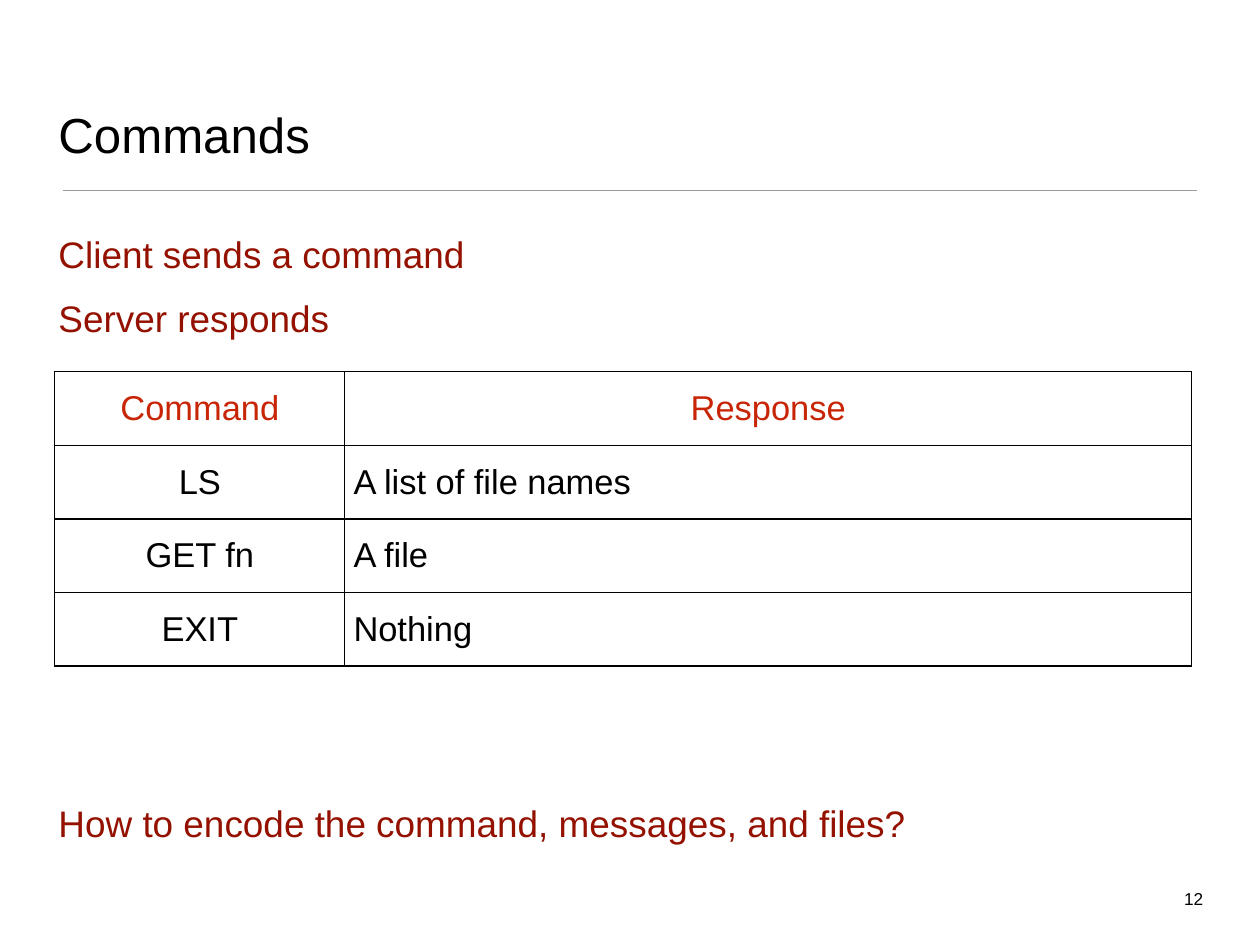
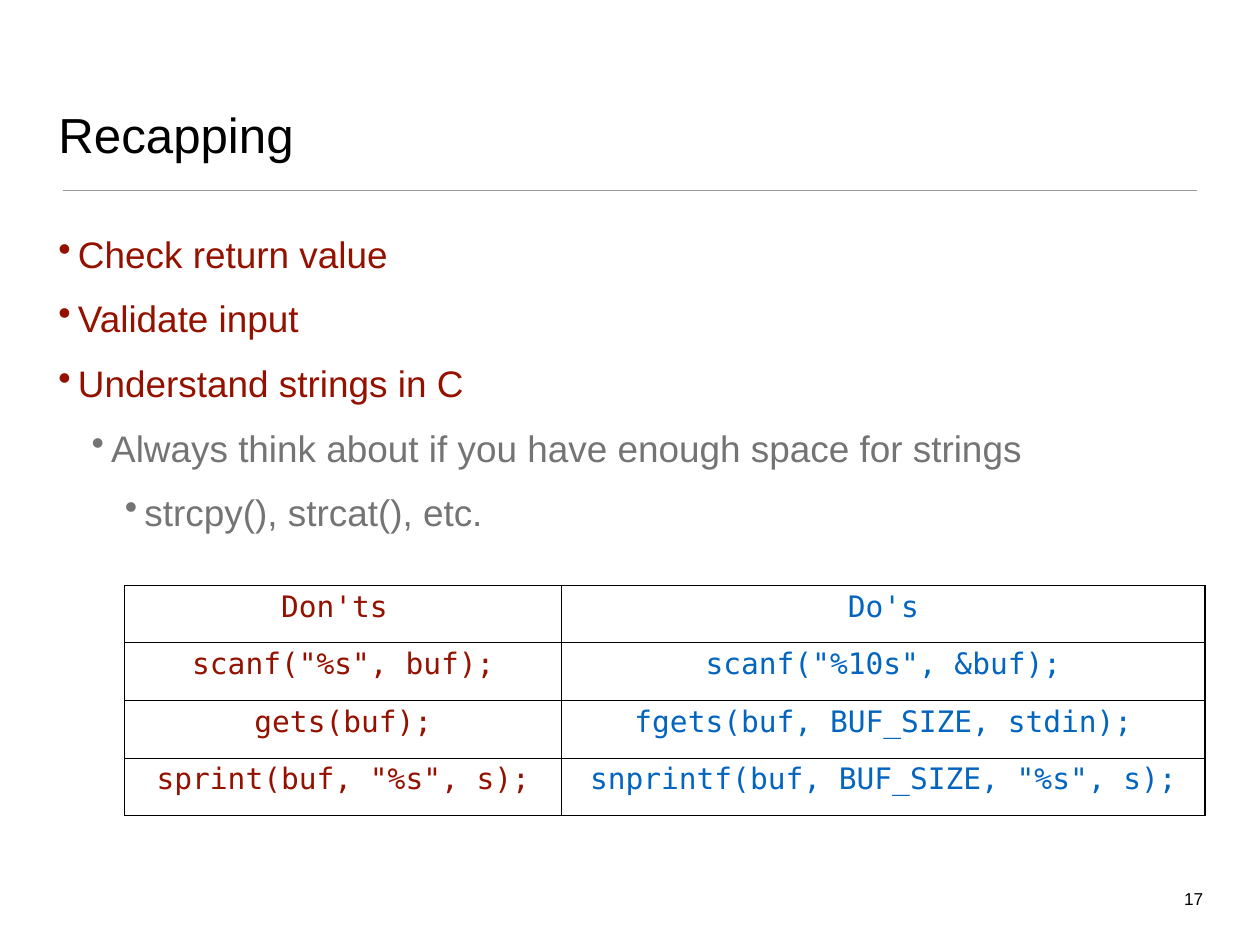
from dataclasses import dataclass

from lxml import etree
from pptx import Presentation
from pptx.dml.color import RGBColor
from pptx.enum.shapes import MSO_CONNECTOR
from pptx.enum.text import MSO_ANCHOR, MSO_AUTO_SIZE, PP_ALIGN
from pptx.oxml.ns import qn
from pptx.util import Inches, Pt

STRAIGHT = MSO_CONNECTOR.STRAIGHT
TOP, MIDDLE, BOTTOM = MSO_ANCHOR.TOP, MSO_ANCHOR.MIDDLE, MSO_ANCHOR.BOTTOM
LEFT, CENTER, RIGHT = PP_ALIGN.LEFT, PP_ALIGN.CENTER, PP_ALIGN.RIGHT
FIT_SHAPE = MSO_AUTO_SIZE.SHAPE_TO_FIT_TEXT

BLACK = RGBColor(0x00, 0x00, 0x00)
RULE_GRAY = RGBColor(0x9A, 0x9A, 0x9A)
DARK_RED = RGBColor(0x94, 0x11, 0x00)
HEADER_RED = RGBColor(0xC8, 0x25, 0x06)
TEXT_GRAY = RGBColor(0x74, 0x74, 0x74)
BLUE = RGBColor(0x03, 0x65, 0xC0)

SANS = "Arial"
MONO = "DejaVu Sans Mono"
INSET = 0.04
BODY_TOP_INSET = 0.07
LINE_GAP = 16.6
LINE_PITCH = 51.1
BULLET_HANG = 0.22
LEVEL_STEP = 0.375


@dataclass(frozen=True)
class Box:
    left: float
    top: float
    width: float
    height: float


@dataclass(frozen=True)
class TextStyle:
    size: float
    color: RGBColor
    font: str = SANS
    align: PP_ALIGN = LEFT


@dataclass(frozen=True)
class BodyLine:
    text: str
    level: int = 0
    bulleted: bool = False
    skipped_lines: int = 0


@dataclass(frozen=True)
class Grid:
    left: float
    top: float
    columns: tuple[float, ...]
    row_height: float
    anchor: MSO_ANCHOR
    header_styles: tuple[TextStyle, ...]
    cell_styles: tuple[TextStyle, ...]
    rows: tuple[tuple[str, ...], ...]


@dataclass(frozen=True)
class SlideContent:
    title: str
    number: str
    body: tuple[BodyLine, ...]
    grid: Grid


TITLE_BOX = Box(0.62, 0.36, 12.97, 1.53)
BODY_BOX = Box(0.62, 2.54, 12.97, 7.18)
NUMBER_BOX = Box(13.31, 9.99, 0.31, 0.3)
TITLE_STYLE = TextStyle(40, BLACK)
NUMBER_STYLE = TextStyle(14, BLACK, align=RIGHT)
BODY_STYLES = (TextStyle(30, DARK_RED), TextStyle(30, TEXT_GRAY), TextStyle(30, TEXT_GRAY))
HEADER = TextStyle(28, HEADER_RED, align=CENTER)
COMMAND = TextStyle(28, BLACK, align=CENTER)
RESPONSE = TextStyle(28, BLACK)
DONT = TextStyle(24, DARK_RED, MONO, CENTER)
DO = TextStyle(24, BLUE, MONO, CENTER)

SLIDES = (
    SlideContent(
        "Commands",
        "12",
        (
            BodyLine("Client sends a command"),
            BodyLine("Server responds"),
            BodyLine("How to encode the command, messages, and files?", skipped_lines=7),
        ),
        Grid(0.62, 4.2, (3.27, 9.56), 0.83, MIDDLE, (HEADER, HEADER), (COMMAND, RESPONSE), (
            ("Command", "Response"),
            ("LS", "A list of file names"),
            ("GET fn", "A file"),
            ("EXIT", "Nothing"),
        )),
    ),
    SlideContent(
        "Recapping",
        "17",
        (
            BodyLine("Check return value", bulleted=True),
            BodyLine("Validate input", bulleted=True),
            BodyLine("Understand strings in C", bulleted=True),
            BodyLine("Always think about if you have enough space for strings", 1, True),
            BodyLine("strcpy(), strcat(), etc.", 2, True),
        ),
        Grid(1.41, 6.61, (4.93, 7.26), 0.65, TOP, (DONT, DO), (DONT, DO), (
            ("Don'ts ", "Do's"),
            ('scanf("%s", buf);', 'scanf("%10s", &buf);'),
            ("gets(buf);", "fgets(buf, BUF_SIZE, stdin);"),
            ('sprint(buf, "%s", s);', 'snprintf(buf, BUF_SIZE, "%s", s);'),
        )),
    ),
)


def write(paragraph, text: str, style: TextStyle) -> None:
    paragraph.alignment = style.align
    run = paragraph.add_run()
    run.text = text
    run.font.name = style.font
    run.font.size = Pt(style.size)
    run.font.color.rgb = style.color


def add_text_frame(slide, box: Box, anchor: MSO_ANCHOR = TOP):
    frame = slide.shapes.add_textbox(
        Inches(box.left), Inches(box.top), Inches(box.width), Inches(box.height)
    ).text_frame
    frame.word_wrap = True
    frame.vertical_anchor = anchor
    frame.margin_left = frame.margin_right = Inches(INSET)
    frame.margin_top = frame.margin_bottom = Inches(INSET)
    return frame


def add_rule(slide) -> None:
    rule = slide.shapes.add_connector(
        STRAIGHT, Inches(0.71), Inches(2.15), Inches(13.51), Inches(2.15)
    )
    rule.line.color.rgb = RULE_GRAY
    rule.line.width = Pt(1)
    etree.SubElement(rule._element.spPr, qn("a:effectLst"))


def add_bullet(paragraph, level: int) -> None:
    properties = paragraph._p.get_or_add_pPr()
    properties.set("marL", str(Inches(BULLET_HANG + level * LEVEL_STEP)))
    properties.set("indent", str(-Inches(BULLET_HANG)))
    etree.SubElement(properties, qn("a:buChar"), char="•")


def add_body(slide, lines: tuple[BodyLine, ...]) -> None:
    frame = add_text_frame(slide, BODY_BOX)
    frame.margin_top = Inches(BODY_TOP_INSET)
    for index, line in enumerate(lines):
        paragraph = frame.add_paragraph() if index else frame.paragraphs[0]
        paragraph.level = line.level
        paragraph.space_before = Pt(LINE_GAP + line.skipped_lines * LINE_PITCH)
        write(paragraph, line.text, BODY_STYLES[line.level])
        if line.bulleted:
            add_bullet(paragraph, line.level)


def add_borders(cell) -> None:
    properties = cell._tc.get_or_add_tcPr()
    for index, side in enumerate(("a:lnL", "a:lnR", "a:lnT", "a:lnB")):
        border = etree.Element(qn(side), w=str(Pt(1)))
        fill = etree.SubElement(border, qn("a:solidFill"))
        etree.SubElement(fill, qn("a:srgbClr"), val=str(BLACK))
        properties.insert(index, border)


def add_grid(slide, grid: Grid) -> None:
    row_count = len(grid.rows)
    table = slide.shapes.add_table(
        row_count, len(grid.columns), Inches(grid.left), Inches(grid.top),
        Inches(sum(grid.columns)), Inches(grid.row_height * row_count),
    ).table
    table.first_row = False
    table.horz_banding = False
    for column, width in zip(table.columns, grid.columns):
        column.width = Inches(width)
    for row_index, texts in enumerate(grid.rows):
        table.rows[row_index].height = Inches(grid.row_height)
        styles = grid.cell_styles if row_index else grid.header_styles
        for column_index, (text, style) in enumerate(zip(texts, styles)):
            cell = table.cell(row_index, column_index)
            cell.vertical_anchor = grid.anchor
            cell.fill.background()
            add_borders(cell)
            write(cell.text_frame.paragraphs[0], text, style)


def add_slide(presentation, content: SlideContent) -> None:
    slide = presentation.slides.add_slide(presentation.slide_layouts[6])
    add_rule(slide)
    title = add_text_frame(slide, TITLE_BOX, BOTTOM)
    write(title.paragraphs[0], content.title, TITLE_STYLE)
    add_body(slide, content.body)
    add_grid(slide, content.grid)
    number = add_text_frame(slide, NUMBER_BOX)
    number.word_wrap = False
    number.auto_size = FIT_SHAPE
    write(number.paragraphs[0], content.number, NUMBER_STYLE)


def main() -> None:
    presentation = Presentation()
    presentation.slide_width = Inches(14.22)
    presentation.slide_height = Inches(10.67)
    for content in SLIDES:
        add_slide(presentation, content)
    presentation.save("out.pptx")


if __name__ == "__main__":
    main()
